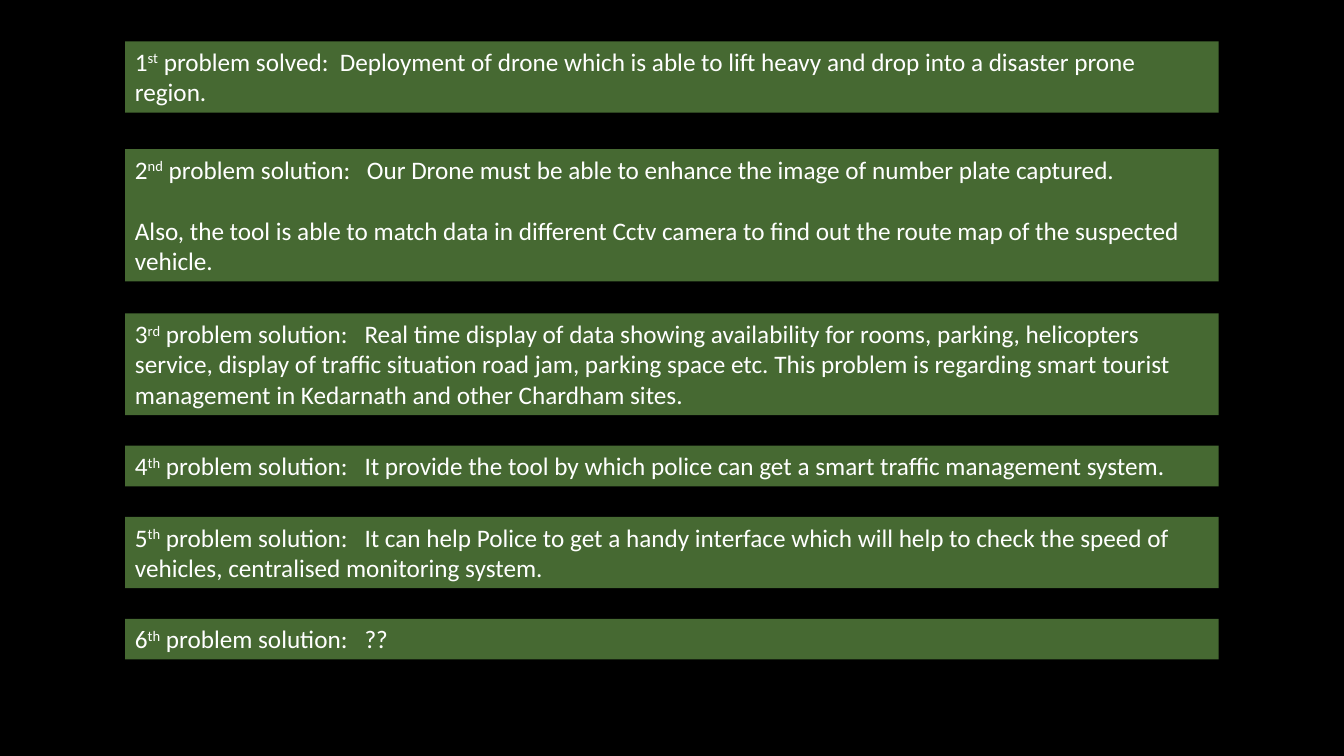
from lxml.etree import SubElement
from pptx import Presentation
from pptx.dml.color import RGBColor
from pptx.enum.text import MSO_ANCHOR, MSO_AUTO_SIZE, PP_ALIGN
from pptx.oxml.ns import qn
from pptx.util import Pt


def paint(fill, color):
    fill.solid()
    fill.fore_color.rgb = RGBColor.from_string(color)


def write(paragraph, text, size=18, color="FFFFFF", font="Calibri", raised=False):
    run = paragraph.add_run()
    run.text = text
    run.font.size = Pt(size)
    run.font.name = font
    paint(run.font.fill, color)
    if raised:
        run.font._element.set("baseline", "30000")


deck = Presentation()
deck.slide_width, deck.slide_height = Pt(960), Pt(540)
slide = deck.slides.add_slide(deck.slide_layouts[6])
paint(slide.background.fill, "000000")

LINE = 21.81
PADDING = 7.28

problems = [
    (29.5, 2, "st", "solved", 146.4, [
        "Deployment of drone which is able to lift heavy and drop into a disaster prone region."]),
    (106.6, 4, "nd", "solution", 165.7, [
        "Our Drone must be able to enhance the image of number plate captured.",
        "Also, the tool is able to match data in different Cctv camera to find out the route map "
        "of the suspected vehicle."]),
    (223.9, 3, "rd", "solution", 164, [
        "Real time display of data showing availability for rooms, parking, helicopters service, "
        "display of traffic situation road jam, parking space etc. This problem is regarding smart "
        "tourist management in Kedarnath and other Chardham sites."]),
    (318.4, 1, "th", "solution", 164, [
        "It provide the tool by which police can get a smart traffic management system."]),
    (369.3, 2, "th", "solution", 164, [
        "It can help Police to get a handy interface which will help to check the speed of "
        "vehicles, centralised monitoring system."]),
    (442, 1, "th", "solution", 164, ["??"]),
]

for number, (top, lines, ordinal, status, answer_start, answers) in enumerate(problems, 1):
    panel = slide.shapes.add_shape(1, Pt(89.3), Pt(top), Pt(781.2), Pt(PADDING + LINE * lines))
    panel.shadow.inherit = False
    panel.line.fill.background()
    paint(panel.fill, "466932")

    frame = panel.text_frame
    frame.word_wrap = True
    frame.auto_size = MSO_AUTO_SIZE.SHAPE_TO_FIT_TEXT
    frame.vertical_anchor = MSO_ANCHOR.TOP

    heading = frame.paragraphs[0]
    heading.alignment = PP_ALIGN.LEFT
    tabs = SubElement(heading._p.get_or_add_pPr(), qn("a:tabLst"))
    SubElement(tabs, qn("a:tab"), pos=str(Pt(answer_start)), algn="l")
    write(heading, str(number))
    write(heading, ordinal, raised=True)
    write(heading, f" problem {status}:\t{answers[0]}")

    for answer in answers[1:]:
        addition = frame.add_paragraph()
        addition.alignment = PP_ALIGN.LEFT
        addition.space_before = Pt(22)
        write(addition, answer)

deck.save("out.pptx")
